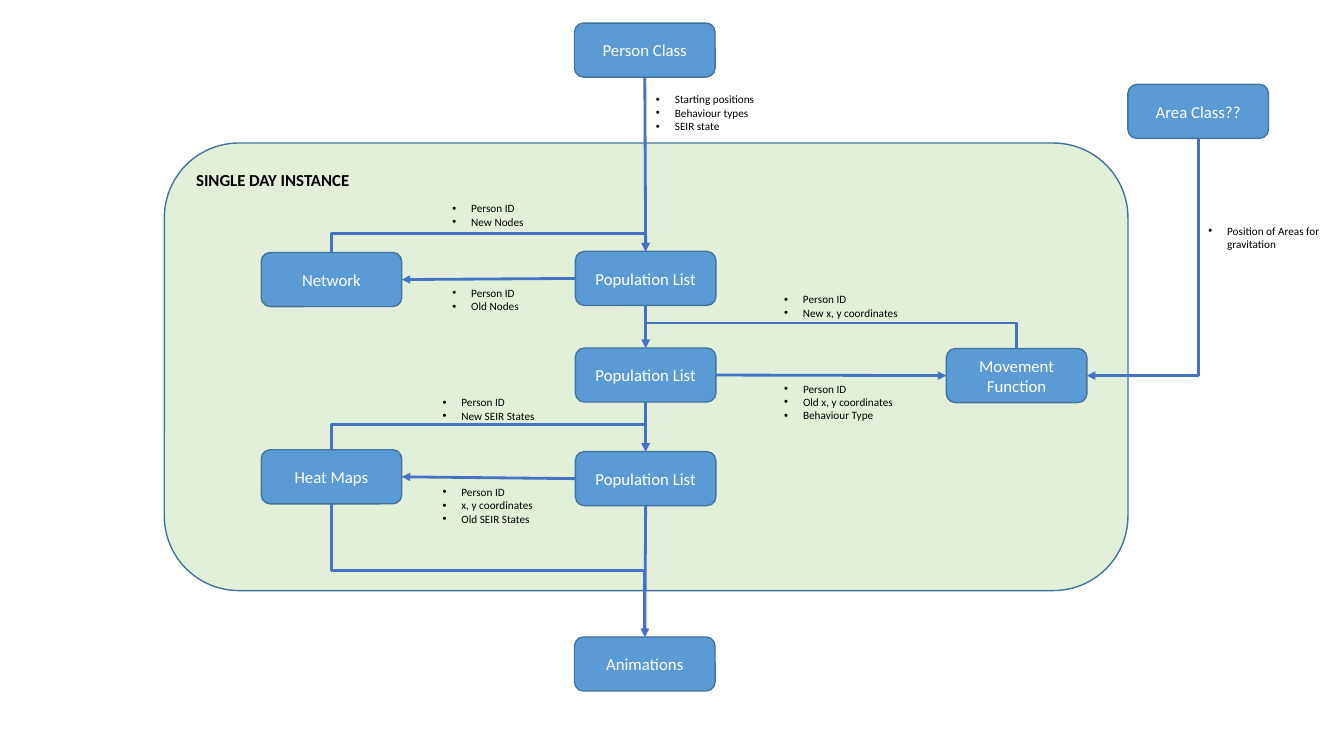
from pptx import Presentation
from pptx.dml.color import RGBColor
from pptx.enum.shapes import MSO_CONNECTOR, MSO_SHAPE
from pptx.enum.text import MSO_ANCHOR, PP_ALIGN
from pptx.oxml.ns import qn
from pptx.util import Pt
from lxml.etree import SubElement

THEME = {
    "font": "Calibri", "label_size": 12, "note_size": 8,
    "box": "5B9BD5", "panel": "E2F0D9", "outline": "43739E", "arrow": "4472C4",
    "light": "FFFFFF", "dark": "000000",
    "outline_width": 1, "arrow_width": 2,
}
BOX_WIDTH, BOX_HEIGHT = 100.4, 38.6
NOTE_INDENT = 13.5
TOP, LEFT, BOTTOM, RIGHT = range(4)

PANEL = ("SINGLE DAY INSTANCE", 117.4, 102.2, 688.3, 319.7)
BOXES = {
    "person": ("Person Class", 410.4, 16.5),
    "animations": ("Animations", 410.4, 455),
    "network": ("Network", 186.6, 180.4),
    "network population": ("Population List", 411, 179.6),
    "heat maps": ("Heat Maps", 186.6, 321.3),
    "movement": ("Movement Function", 676, 249),
    "movement population": ("Population List", 411, 248.6),
    "heat population": ("Population List", 411, 322.6),
    "area": ("Area Class??", 805.7, 60.3),
}
STRAIGHT_ARROWS = [
    ("person", BOTTOM, "network population", TOP),
    ("network population", LEFT, "network", RIGHT),
    ("network population", BOTTOM, "movement population", TOP),
    ("movement population", RIGHT, "movement", LEFT),
    ("movement population", BOTTOM, "heat population", TOP),
    ("heat population", LEFT, "heat maps", RIGHT),
    ("heat population", BOTTOM, "animations", TOP),
]
BENT_ARROWS = [
    ("network", TOP, "network population", TOP, 166.4),
    ("movement", TOP, "movement population", TOP, 230.6),
    ("heat maps", TOP, "heat population", TOP, 303.2),
    ("heat maps", BOTTOM, "animations", TOP, 407.4),
    ("area", BOTTOM, "movement", RIGHT, None),
]
NOTES = [
    (461.5, 62.6, 111, ["Starting positions", "Behaviour types", "SEIR state"]),
    (316, 140.6, 82, ["Person ID", "New Nodes"]),
    (316, 200.8, 82, ["Person ID", "Old Nodes"]),
    (553, 205.4, 122, ["Person ID", "New x, y coordinates"]),
    (553, 269.2, 96, ["Person ID", "Old x, y coordinates", "Behaviour Type"]),
    (309, 278.9, 96, ["Person ID", "New SEIR States"]),
    (309, 343, 96, ["Person ID", "x, y coordinates", "Old SEIR States"]),
    (856, 156.6, 111, ["Position of Areas for gravitation"]),
]


def color(name):
    return RGBColor.from_string(THEME[name])


def write(paragraph, text, size, ink, bold=False):
    run = paragraph.add_run()
    run.text = text
    run.font.name = THEME["font"]
    run.font.size = Pt(THEME[size])
    run.font.color.rgb = color(ink)
    run.font.bold = bold


def add_round_box(slide, left, top, width, height, fill):
    shape = slide.shapes.add_shape(
        MSO_SHAPE.ROUNDED_RECTANGLE, Pt(left), Pt(top), Pt(width), Pt(height))
    shape.shadow.inherit = False
    shape.fill.solid()
    shape.fill.fore_color.rgb = color(fill)
    shape.line.color.rgb = color("outline")
    shape.line.width = Pt(THEME["outline_width"])
    return shape


def add_panel(slide):
    title, *area = PANEL
    panel = add_round_box(slide, *area, "panel")
    panel.text_frame.vertical_anchor = MSO_ANCHOR.TOP
    paragraph = panel.text_frame.paragraphs[0]
    paragraph.alignment = PP_ALIGN.LEFT
    write(paragraph, title, "label_size", "dark", True)


def add_label_box(slide, label, left, top):
    box = add_round_box(slide, left, top, BOX_WIDTH, BOX_HEIGHT, "box")
    box.text_frame.vertical_anchor = MSO_ANCHOR.MIDDLE
    paragraph = box.text_frame.paragraphs[0]
    paragraph.alignment = PP_ALIGN.CENTER
    write(paragraph, label, "label_size", "light")
    return box


def side_point(name, side):
    label, left, top = BOXES[name]
    across, down = {TOP: (0.5, 0), LEFT: (0, 0.5), BOTTOM: (0.5, 1), RIGHT: (1, 0.5)}[side]
    return left + across * BOX_WIDTH, top + down * BOX_HEIGHT


def add_arrow(slide, kind, start, end):
    arrow = slide.shapes.add_connector(kind, *map(Pt, start + end))
    arrow.line.color.rgb = color("arrow")
    arrow.line.width = Pt(THEME["arrow_width"])
    SubElement(arrow.line._get_or_add_ln(), qn("a:tailEnd"), type="triangle")
    SubElement(arrow.element.spPr, qn("a:effectLst"))
    return arrow


def add_straight_arrow(slide, boxes, source, source_side, target, target_side):
    arrow = add_arrow(slide, MSO_CONNECTOR.STRAIGHT,
                      side_point(source, source_side), side_point(target, target_side))
    arrow.begin_connect(boxes[source], source_side)
    arrow.end_connect(boxes[target], target_side)


def add_bent_arrow(slide, source, source_side, target, target_side, bend):
    start_x, start_y = side_point(source, source_side)
    end_x, end_y = side_point(target, target_side)
    width, height = abs(end_y - start_y), abs(end_x - start_x)
    left = (start_x + end_x - width) / 2
    top = (start_y + end_y - height) / 2
    arrow = add_arrow(slide, MSO_CONNECTOR.ELBOW, (left, top), (left + width, top + height))
    downward, leftward = end_y > start_y, end_x < start_x
    transform = arrow.element.spPr.find(qn("a:xfrm"))
    quarter_turns = 1 if downward and leftward else 3
    transform.set("rot", str(quarter_turns * 5400000))
    if downward and not leftward:
        transform.set("flipH", "1")
    if leftward and not downward:
        transform.set("flipV", "1")
    geometry = arrow.element.spPr.find(qn("a:prstGeom"))
    if bend is None:
        geometry.set("prst", "bentConnector2")
    else:
        share = round((bend - start_y) / (end_y - start_y) * 100000)
        guides = geometry.find(qn("a:avLst"))
        SubElement(guides, qn("a:gd"), name="adj1", fmla=f"val {share}")


def add_note(slide, left, top, width, items):
    height = 7.2 + 9.8 * max(2, len(items))
    frame = slide.shapes.add_textbox(Pt(left), Pt(top), Pt(width), Pt(height)).text_frame
    frame.word_wrap = True
    for index, item in enumerate(items):
        paragraph = frame.add_paragraph() if index else frame.paragraphs[0]
        write(paragraph, item, "note_size", "dark")
        properties = paragraph._p.get_or_add_pPr()
        properties.set("marL", str(Pt(NOTE_INDENT)))
        properties.set("indent", str(-Pt(NOTE_INDENT)))
        SubElement(properties, qn("a:buFont"), typeface="Arial")
        SubElement(properties, qn("a:buChar"), char="•")


presentation = Presentation()
presentation.slide_width, presentation.slide_height = Pt(960), Pt(540)
slide = presentation.slides.add_slide(presentation.slide_layouts[6])
add_panel(slide)
boxes = {name: add_label_box(slide, *box) for name, box in BOXES.items()}
for arrow in STRAIGHT_ARROWS:
    add_straight_arrow(slide, boxes, *arrow)
for arrow in BENT_ARROWS:
    add_bent_arrow(slide, *arrow)
for note in NOTES:
    add_note(slide, *note)
presentation.save("out.pptx")
